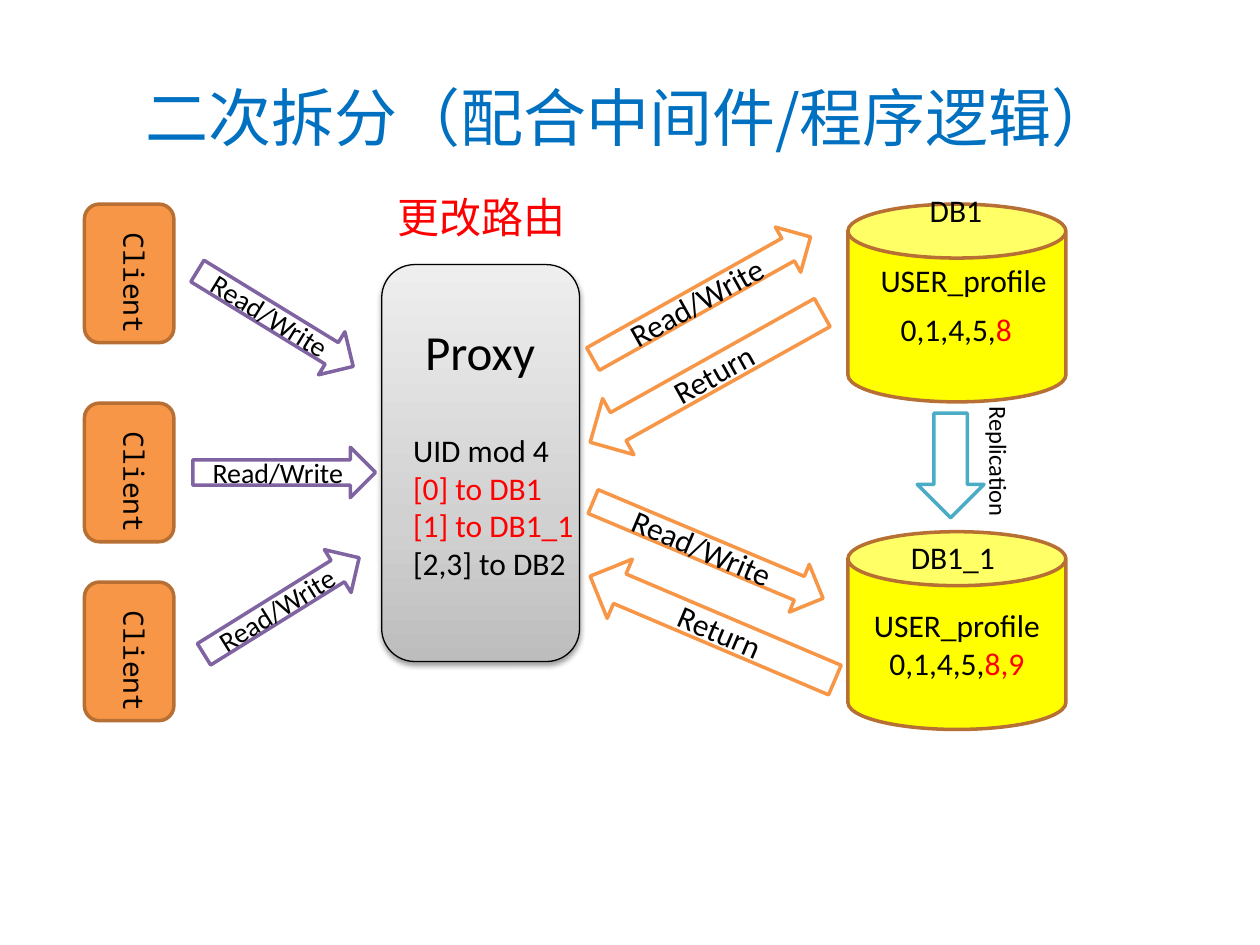
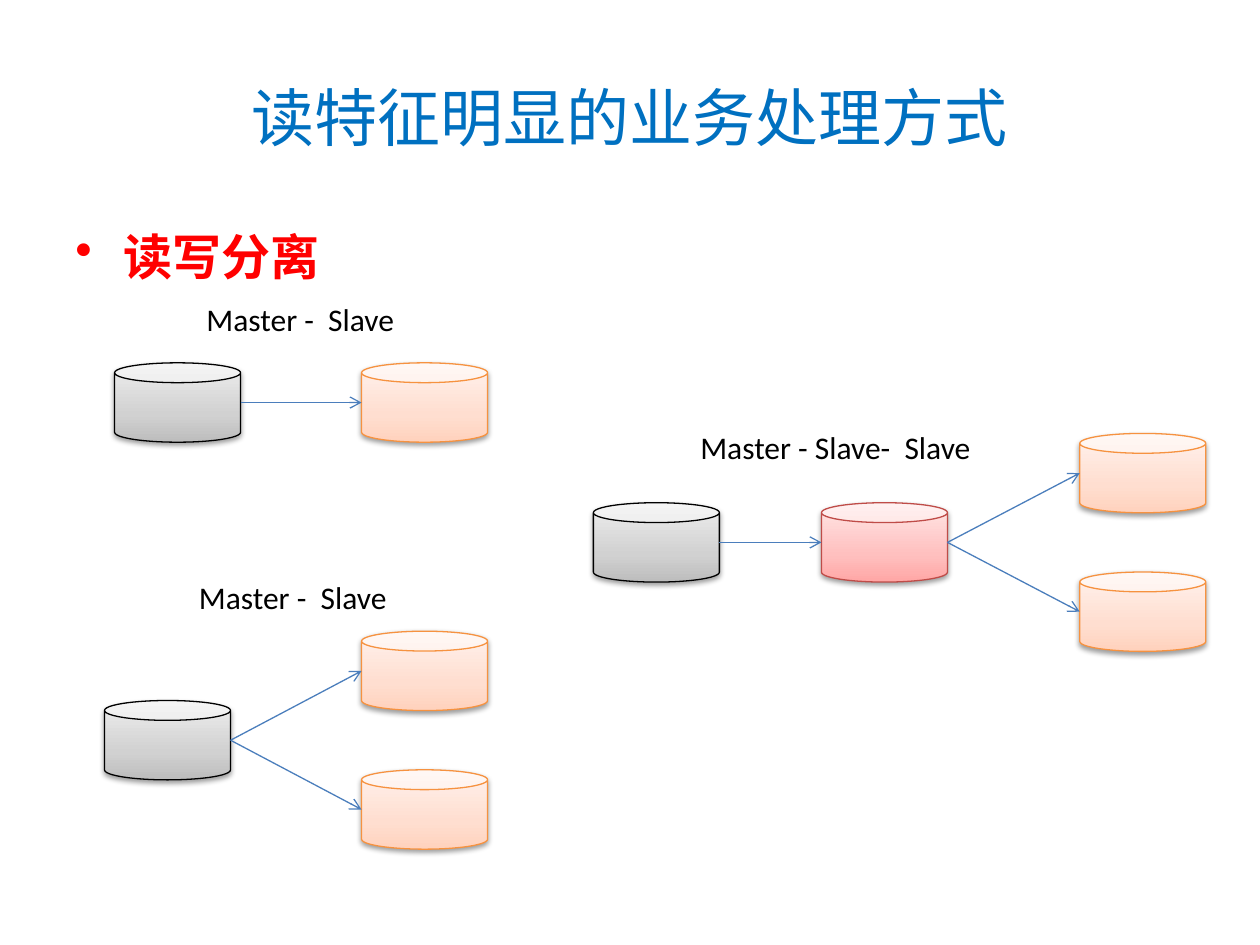
"""Build two slides on database splitting and read/write separation."""
from dataclasses import dataclass
from typing import Any
from copy import deepcopy

from lxml.etree import SubElement
from pptx import Presentation
from pptx.dml.color import RGBColor
from pptx.enum.shapes import MSO_CONNECTOR, MSO_SHAPE
from pptx.enum.text import MSO_ANCHOR, MSO_AUTO_SIZE, PP_ALIGN
from pptx.oxml.ns import qn
from pptx.util import Inches, Pt

COLS, ROWS = 100, 75
COLORS = {
    "ink": "000000", "red": "FF0000", "title": "0070C0", "paper": "FFFFFF",
    "orange": "F79646", "brown": "B76F34", "yellow": "FFFF00",
    "purple": "8064A2", "teal": "4BACC6", "link": "4B7EBC",
    "peach_edge": "F69240", "rose_edge": "BF4C48",
    "gray_lo": "BDBDBD", "gray_mid": "D1D1D1", "gray_hi": "EEEEEE",
    "peach_lo": "FFD2BD", "peach_mid": "FFDED0", "peach_hi": "FFF2ED",
    "rose_lo": "FFA6A5", "rose_mid": "FFC0BF", "rose_hi": "FFE7E7",
}
GRADIENTS = {
    "gray": ("gray_lo", "gray_mid", "gray_hi"),
    "peach": ("peach_lo", "peach_mid", "peach_hi"),
    "rose": ("rose_lo", "rose_mid", "rose_hi"),
}
EDGES = {"gray": "ink", "peach": "peach_edge", "rose": "rose_edge"}
STOPS = (0, 0.35, 1)
LATIN, CJK, MONO = "Calibri", "Noto Sans CJK SC", "Noto Sans Mono"
CENTER = {"alignment": PP_ALIGN.CENTER}
MIDDLE = {"vertical_anchor": MSO_ANCHOR.MIDDLE, "word_wrap": True}
GROW = {"word_wrap": False, "auto_size": MSO_AUTO_SIZE.SHAPE_TO_FIT_TEXT}


def rgb(name):
    return RGBColor.from_string(COLORS[name])


def style(obj, fmt):
    for key, value in fmt.items():
        setattr(obj, key, value)


@dataclass
class Deck:
    prs: Any
    s: Any = None

    def grid(self, *cells):
        units = (self.prs.slide_width / COLS, self.prs.slide_height / ROWS)
        return [round(n * units[i % 2]) for i, n in enumerate(cells)]

    def slide(self, title):
        self.s = self.prs.slides.add_slide(self.prs.slide_layouts[6])
        self.text((5, 3, 90, 12.5), [title], 36, "title", CJK, MIDDLE, CENTER)

    def fill_text(self, sp, lines, size, color="ink", font=LATIN, frame=MIDDLE, para=CENTER, bold=None):
        tf = sp.text_frame
        style(tf, frame)
        for i, line in enumerate(lines):
            p = tf.add_paragraph() if i else tf.paragraphs[0]
            style(p, para)
            for words, hue in [(line, color)] if isinstance(line, str) else line:
                r = p.add_run()
                r.text = words
                style(r.font, {"size": Pt(size), "name": font, "bold": bold})
                r.font.color.rgb = rgb(hue)
                SubElement(r._r.get_or_add_rPr(), qn("a:ea"), typeface=CJK)

    def text(self, cells, lines, size=18, color="ink", font=LATIN, frame=GROW, para=None, bold=None):
        sp = self.s.shapes.add_textbox(*self.grid(*cells))
        self.fill_text(sp, lines, size, color, font, frame, para or {}, bold)
        return sp

    def vertical(self, cells, words):
        sp = self.text(cells, [words], 16, font=MONO)
        sp._element.find(".//" + qn("a:bodyPr")).set("vert", "eaVert")

    def bullet(self, cells, words):
        para = {"space_before": Pt(5.6)}
        sp = self.text(cells, [words], 28, "red", CJK, {"word_wrap": True}, para, True)
        pr = sp._element.find(".//" + qn("a:pPr"))
        pr.set("marL", str(Inches(0.38)))
        pr.set("indent", str(-Inches(0.38)))
        SubElement(pr, qn("a:buChar"), char="•")

    def shape(self, kind, cells, fill, edge, width=2, adj=None, rotation=0):
        sp = self.s.shapes.add_shape(kind, *self.grid(*cells))
        sp.shadow.inherit = False
        sp.rotation = rotation
        if adj:
            sp.adjustments[0] = adj
        if fill in GRADIENTS:
            self.shade(sp, GRADIENTS[fill])
        else:
            sp.fill.solid()
            sp.fill.fore_color.rgb = rgb(fill)
        sp.line.color.rgb = rgb(edge)
        sp.line.width = Pt(width)
        return sp

    def shade(self, sp, names):
        sp.fill.gradient()
        sp.fill.gradient_angle = 90
        stops = sp._element.find(".//" + qn("a:gsLst"))
        stops.insert(1, deepcopy(stops[0]))
        for stop, position, name in zip(sp.fill.gradient_stops, STOPS, names):
            stop.position = position
            stop.color.rgb = rgb(name)
        effects = sp._element.find(".//" + qn("a:effectLst"))
        shadow = SubElement(effects, qn("a:outerShdw"), blurRad=str(Pt(3.1)), dist=str(Pt(1.6)),
                            dir="5400000", rotWithShape="0")
        color = SubElement(shadow, qn("a:srgbClr"), val=COLORS["ink"])
        SubElement(color, qn("a:alpha"), val="38000")

    def arrow(self, cells, rotation, words, edge, size, flip=False):
        sp = self.shape(MSO_SHAPE.RIGHT_ARROW, cells, "paper", edge, rotation=rotation)
        if flip:
            sp._element.find(".//" + qn("a:xfrm")).set("flipV", "1")
        self.fill_text(sp, [words], size)

    def database(self, col, row):
        return self.shape(MSO_SHAPE.CAN, (col, row, 17.3, 15.7), "yellow", "brown", adj=0.273)

    def node(self, col, row, tone):
        return self.shape(MSO_SHAPE.CAN, (col, row, 10, 6.3), tone, EDGES[tone], 0.75)

    def link(self, source, target):
        cxn = self.s.shapes.add_connector(MSO_CONNECTOR.STRAIGHT, 0, 0, 0, 0)
        cxn.begin_connect(source, 3)
        cxn.end_connect(target, 1)
        for tag, site in (("a:stCxn", "4"), ("a:endCxn", "2")):
            cxn._element.find(".//" + qn(tag)).set("idx", site)
        cxn.line.color.rgb = rgb("link")
        cxn.line.width = Pt(0.75)
        SubElement(cxn._element.find(".//" + qn("a:ln")), qn("a:tailEnd"), type="arrow")
        SubElement(cxn._element.find(qn("p:spPr")), qn("a:effectLst"))

    def fan(self, source, col, row):
        for step in (-5.5, 5.5):
            self.link(source, self.node(col, row + step, "peach"))


def resplit(d):
    d.slide("二次拆分（配合中间件/程序逻辑）")
    d.shape(MSO_SHAPE.ROUNDED_RECTANGLE, (30.3, 21, 15.7, 31.5), "gray", "ink", 0.75)
    d.text((32.7, 25, 10.8, 6.2), ["Proxy"], 28, para=CENTER)
    routes = ["UID mod 4", [("[0] to DB1", "red")], [("[1] to DB1_1", "red")], "[2,3] to DB2"]
    d.text((31.8, 33.7, 14.9, 13.1), routes)
    d.text((30.6, 14.7, 15.5, 5), ["更改路由"], 24, "red")

    for row in (16.2, 32, 46.2):
        d.shape(MSO_SHAPE.ROUNDED_RECTANGLE, (6.7, row, 7.1, 11), "orange", "brown")
        d.vertical((7.8, row + 1.3, 4.7, 7.5), "Client")
    for col, row, rotation in ((14.6, 23.3, 31.5), (15.3, 35.5, 0), (15.1, 46.1, 328.1)):
        d.arrow((col, row, 14.5, 4), rotation, "Read/Write", "purple", 16)

    d.database(67.3, 16.2)
    d.text((72.8, 14.7, 6.2, 4), ["DB1"])
    d.text((68.9, 20.2, 15.3, 4), ["USER_profile"])
    d.text((70.5, 24.1, 14.2, 4), [[("0,1,4,5,", "ink"), ("8", "red")]], frame={"word_wrap": True})
    second = d.database(67.3, 42.2)
    d.fill_text(second, ["USER_profile", [("0,1,4,5,", "ink"), ("8,9", "red")]], 18)
    d.text((71.3, 42.2, 8.8, 4), ["DB1_1"])

    for col, row, rotation in ((45.8, 21.6, 330.7), (46.3, 41.6, 22.8)):
        d.arrow((col, row, 19.8, 4.1), rotation, "Read/Write", "orange", 18)
    for col, row, rotation in ((45.5, 27.4, 150.8), (46, 47.3, 203)):
        d.arrow((col, row, 21.1, 5.1), rotation, "Return", "orange", 18, flip=True)

    d.shape(MSO_SHAPE.DOWN_ARROW, (72.8, 32.8, 5.3, 8.3), "paper", "teal")
    d.text((73.8, 35, 10.9, 3.4), ["Replication"], 14).rotation = 90


def separate(d):
    d.slide("读特征明显的业务处理方式")
    d.bullet((5, 17.5, 90, 5.8), "读写分离")

    d.text((15.4, 23.3, 17.1, 4), ["Master -  Slave"])
    d.link(d.node(9.1, 28.8, "gray"), d.node(28.7, 28.8, "peach"))

    d.text((14.8, 45.4, 17.1, 4), ["Master -  Slave"])
    d.fan(d.node(8.3, 55.6, "gray"), 28.7, 55.6)

    d.text((54.6, 33.5, 23.7, 4), ["Master - Slave-  Slave"])
    relay = d.node(65.2, 39.9, "rose")
    d.link(d.node(47.1, 39.9, "gray"), relay)
    d.fan(relay, 85.7, 39.9)


def main():
    prs = Presentation()
    style(prs, {"slide_width": Inches(10), "slide_height": Inches(7.5)})
    d = Deck(prs)
    resplit(d)
    separate(d)
    prs.save("out.pptx")


if __name__ == "__main__":
    main()
